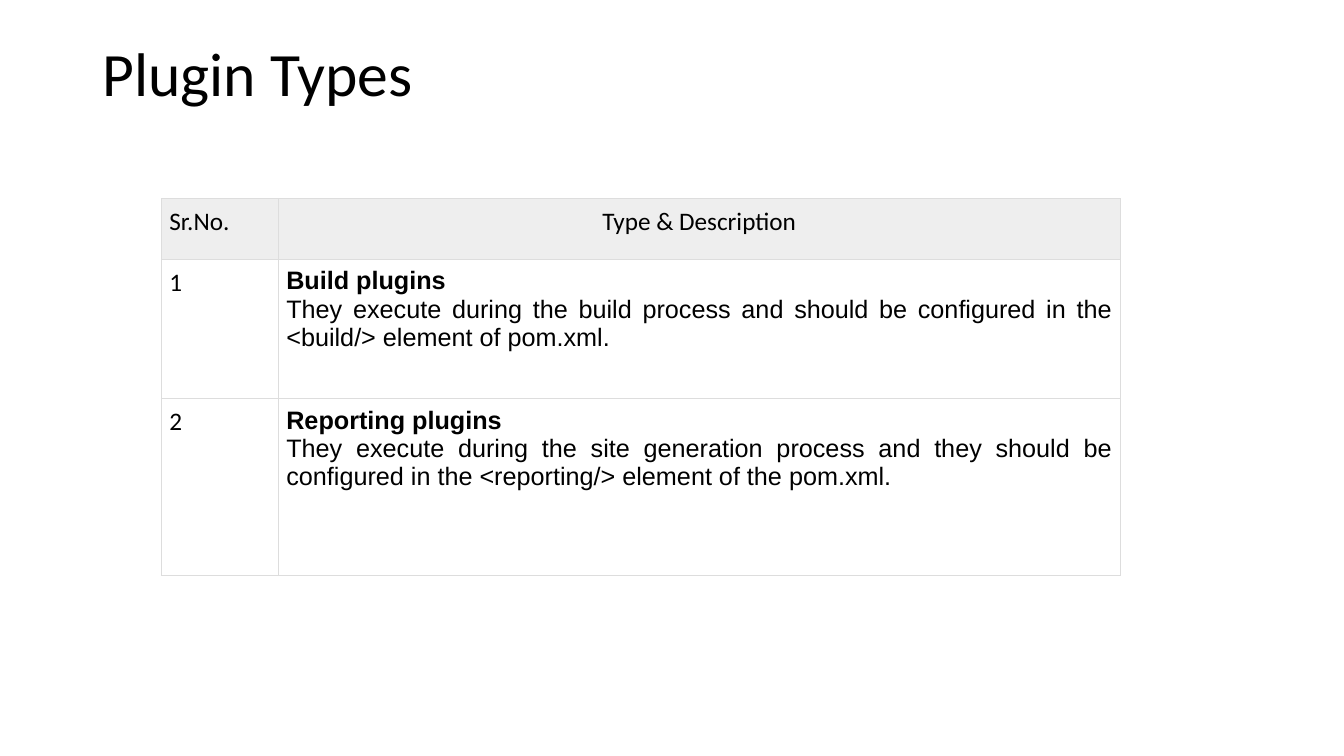
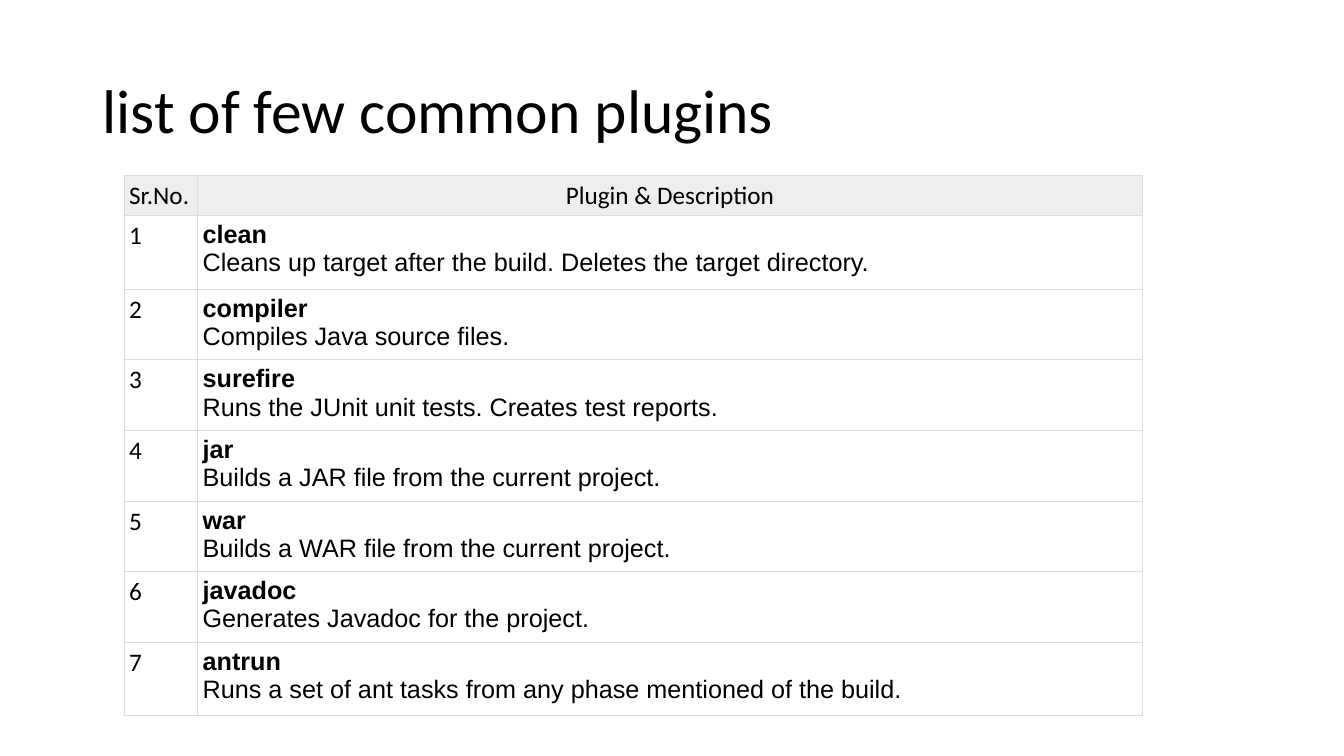
"""Build two slides that list build plugins in bordered tables."""
from lxml import etree
from pptx import Presentation
from pptx.dml.color import RGBColor
from pptx.enum import text
from pptx.oxml import ns
from pptx.util import Inches, Pt

BLACK = RGBColor(0x00, 0x00, 0x00)
HEADER_GREY = RGBColor(0xEE, 0xEE, 0xEE)
BORDER_GREY = RGBColor(0xDD, 0xDD, 0xDD)
HEADING_FONT, BODY_FONT = "Calibri", "Arial"
TITLE_SIZE, TABLE_SIZE, BORDER = Pt(44), Pt(18), Pt(0.75)
LEFT, CENTER, JUSTIFY = (
    text.PP_ALIGN.LEFT, text.PP_ALIGN.CENTER, text.PP_ALIGN.JUSTIFY)

SLIDES = [
    {
        "title": "Plugin Types",
        "title_height": 0.72,
        "header": "Type & Description",
        "plugins": [
            ("Build plugins",
             "They execute during the build process and should be configured "
             "in the <build/> element of pom.xml."),
            ("Reporting plugins",
             "They execute during the site generation process and they should "
             "be configured in the <reporting/> element of the pom.xml."),
        ],
        "origin": (1.6, 1.97),
        "columns": (1.16, 8.35),
        "rows": (0.6, 1.38, 1.76),
        "inset": 0.08,
    },
    {
        "title": "list of few common plugins",
        "title_height": 1.45,
        "header": "Plugin & Description",
        "plugins": [
            ("clean", "Cleans up target after the build. "
                      "Deletes the target directory."),
            ("compiler", "Compiles Java source files."),
            ("surefire", "Runs the JUnit unit tests. Creates test reports."),
            ("jar", "Builds a JAR file from the current project."),
            ("war", "Builds a WAR file from the current project."),
            ("javadoc", "Generates Javadoc for the project."),
            ("antrun", "Runs a set of ant tasks from any phase mentioned "
                       "of the build."),
        ],
        "origin": (1.23, 1.74),
        "columns": (0.73, 9.37),
        "rows": (0.4, 0.73, *[0.66] * 5, 0.73),
        "inset": 0.05,
    },
]


def style(paragraph, font, size, align=LEFT, bold=False):
    paragraph.alignment = align
    paragraph.font.name = font
    paragraph.font.size = size
    paragraph.font.bold = bold
    paragraph.font.color.rgb = BLACK


def add_title(slide, title, height):
    box = slide.shapes.add_textbox(
        Inches(0.92), Inches(0.4), Inches(11.5), Inches(height))
    frame = box.text_frame
    frame.word_wrap = True
    frame.vertical_anchor = text.MSO_ANCHOR.MIDDLE
    frame.text = title
    frame.paragraphs[0].line_spacing = 0.9
    style(frame.paragraphs[0], HEADING_FONT, TITLE_SIZE)


def add_borders(cell):
    properties = cell._tc.get_or_add_tcPr()
    for position, side in enumerate(("lnL", "lnR", "lnT", "lnB")):
        line = etree.Element(ns.qn(f"a:{side}"), w=str(BORDER))
        fill = etree.SubElement(line, ns.qn("a:solidFill"))
        etree.SubElement(fill, ns.qn("a:srgbClr"), val=str(BORDER_GREY))
        properties.insert(position, line)


def fill_cell(cell, lines, font, align, inset, is_header):
    cell.margin_left = cell.margin_right = Inches(inset)
    cell.margin_top = cell.margin_bottom = Inches(inset)
    if is_header:
        cell.fill.solid()
        cell.fill.fore_color.rgb = HEADER_GREY
    else:
        cell.fill.background()
    add_borders(cell)
    cell.text = "\n".join(lines)
    for index, paragraph in enumerate(cell.text_frame.paragraphs):
        is_name = len(lines) > 1 and index == 0
        style(paragraph, font, TABLE_SIZE, align, bold=is_name)


def add_plugin_table(slide, content):
    widths, heights = content["columns"], content["rows"]
    left, top = content["origin"]
    table = slide.shapes.add_table(
        len(heights), len(widths), Inches(left), Inches(top),
        Inches(sum(widths)), Inches(sum(heights))).table
    table.horz_banding = False
    for column, width in zip(table.columns, widths):
        column.width = Inches(width)
    for row, height in zip(table.rows, heights):
        row.height = Inches(height)
    entries = [("Sr.No.", (content["header"],))]
    entries += [(str(number), plugin)
                for number, plugin in enumerate(content["plugins"], 1)]
    for index, (number, lines) in enumerate(entries):
        is_header = index == 0
        font, align = (
            (HEADING_FONT, CENTER) if is_header else (BODY_FONT, JUSTIFY))
        fill_cell(table.cell(index, 0), (number,), HEADING_FONT, LEFT,
                  content["inset"], is_header)
        fill_cell(table.cell(index, 1), lines, font, align,
                  content["inset"], is_header)


def main():
    deck = Presentation()
    deck.slide_width, deck.slide_height = Inches(13.33), Inches(7.5)
    for content in SLIDES:
        slide = deck.slides.add_slide(deck.slide_layouts[6])
        add_title(slide, content["title"], content["title_height"])
        add_plugin_table(slide, content)
    deck.save("out.pptx")


if __name__ == "__main__":
    main()
